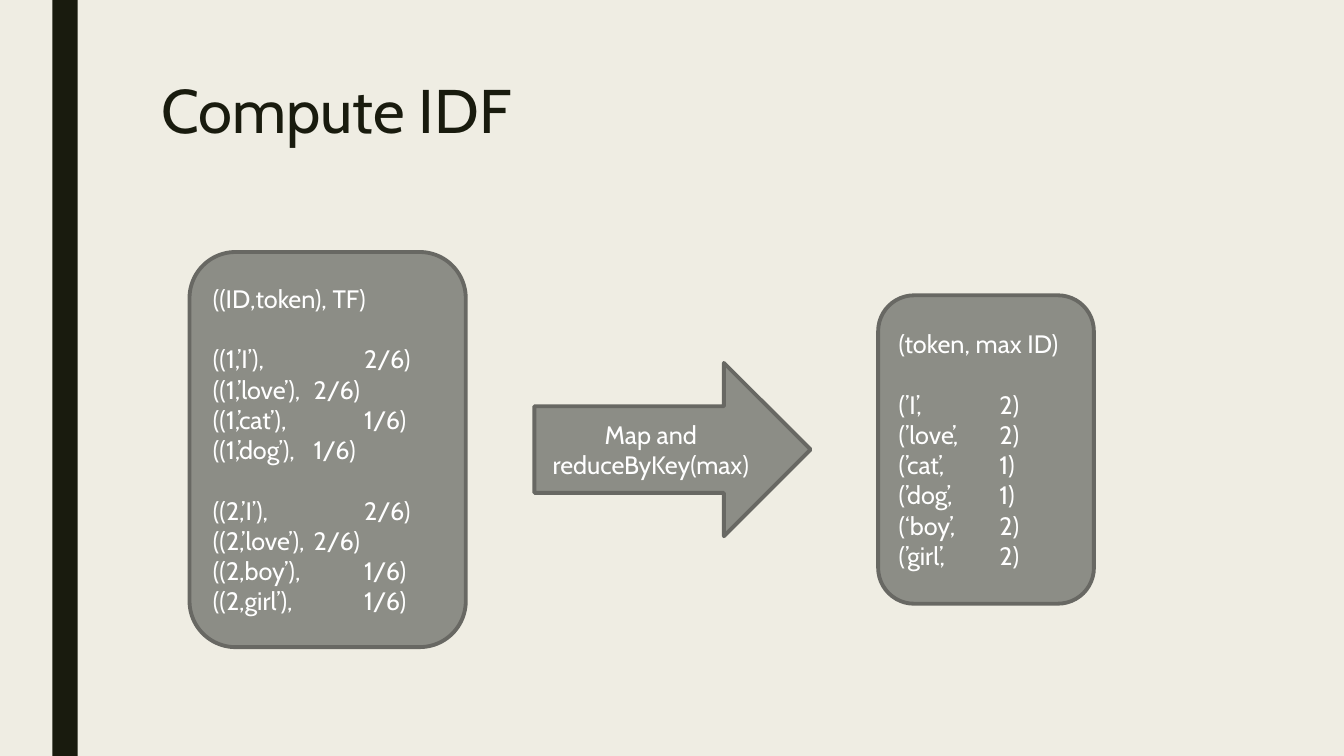
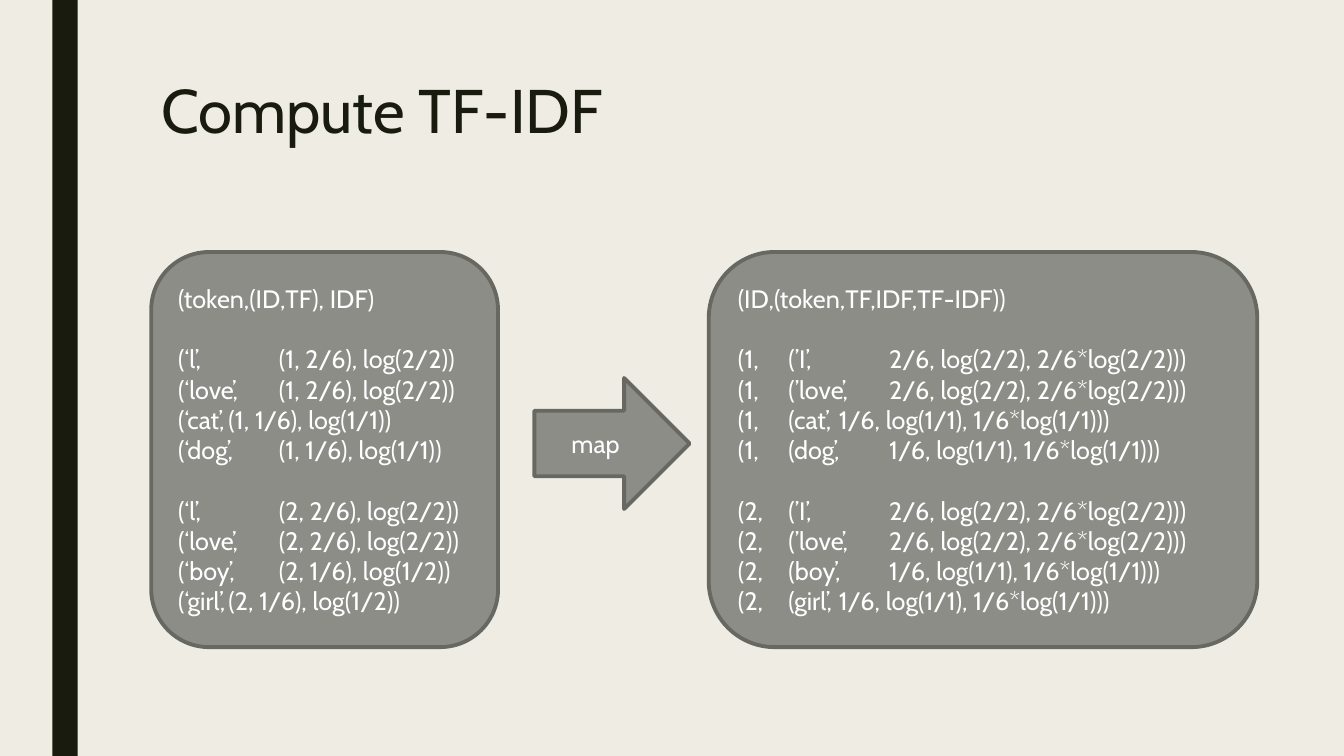
"""Build two slides on computing IDF and TF-IDF with map and reduce steps."""
from lxml import etree
from pptx import Presentation
from pptx.dml.color import RGBColor
from pptx.enum.shapes import MSO_SHAPE
from pptx.enum.text import MSO_ANCHOR, MSO_AUTO_SIZE, PP_ALIGN
from pptx.oxml.ns import qn
from pptx.util import Inches, Pt

BOX, ARROW, BAND = MSO_SHAPE.ROUNDED_RECTANGLE, MSO_SHAPE.RIGHT_ARROW, MSO_SHAPE.RECTANGLE
LEFT, CENTER = PP_ALIGN.LEFT, PP_ALIGN.CENTER
TOP, MIDDLE = MSO_ANCHOR.TOP, MSO_ANCHOR.MIDDLE
NO_AUTOFIT = MSO_AUTO_SIZE.NONE
TITLE_ONLY = 5

COLORS = {
    "background": "EFEDE3",
    "dark": "191B0E",
    "fill": "8C8D86",
    "outline": "686863",
    "light": "FFFFFF",
}
TITLE_FONT = {"name": "Cabin", "size": Pt(44)}
BODY_FONT = {"name": "Cabin", "size": Pt(18)}
TITLE_PLACE = (1.5, 0.75, 10.5, 1.62)
BAND_PLACE = (0.52, 0, 0.25, 7.5)
GROUP_GAP = Pt(21.6)
TAB_STEP, TAB_COUNT = 0.5, 4

TERM_FREQUENCIES = [
    ["((ID,token), TF)"],
    ["((1,’I’), \t\t2/6)", "((1,’love’), \t2/6)", "((1,’cat’), \t\t1/6)", "((1,’dog’), \t1/6)"],
    ["((2,’I’), \t\t2/6)", "((2,’love’), \t2/6)", "((2,boy’), \t\t1/6)", "((2,girl’), \t\t1/6)"],
]
TOKEN_MAXIMA = [
    ["(token, max ID)"],
    ["(’I’, \t\t2)", "(’love’, \t2)", "(’cat’, \t1)", "(’dog’, \t1)", "(‘boy’, \t2)", "(’girl’, \t2)"],
]
TOKEN_IDF = [
    ["(token,(ID,TF), IDF)"],
    [
        "(‘l’,\t\t(1, 2/6), log(2/2))",
        "(‘love’,\t(1, 2/6), log(2/2))",
        "(‘cat’,\t(1, 1/6), log(1/1))",
        "(‘dog’,\t(1, 1/6), log(1/1))",
    ],
    [
        "(‘l’,\t\t(2, 2/6), log(2/2))",
        "(‘love’,\t(2, 2/6), log(2/2))",
        "(‘boy’,\t(2, 1/6), log(1/2))",
        "(‘girl’,\t(2, 1/6), log(1/2))",
    ],
]
DOCUMENT_TF_IDF = [
    ["(ID,(token,TF,IDF,TF-IDF)) "],
    [
        "(1, \t(’I’, \t\t2/6, log(2/2), 2/6*log(2/2)))",
        "(1,\t(’love’, \t2/6, log(2/2), 2/6*log(2/2)))",
        "(1,\t(cat’, \t1/6, log(1/1), 1/6*log(1/1)))",
        "(1,\t(dog’, \t1/6, log(1/1), 1/6*log(1/1)))",
    ],
    [
        "(2, \t(’I’, \t\t2/6, log(2/2), 2/6*log(2/2)))",
        "(2,\t(’love’, \t2/6, log(2/2), 2/6*log(2/2)))",
        "(2,\t(boy’, \t1/6, log(1/1), 1/6*log(1/1)))",
        "(2,\t(girl’, \t1/6, log(1/1), 1/6*log(1/1)))",
    ],
]
SLIDES = [
    ("Compute IDF", [
        (BOX, (1.88, 2.5, 2.74, 3.92), TERM_FREQUENCIES, LEFT),
        (ARROW, (5.3, 3.6, 2.74, 1.72), [["Map and", "reduceByKey(max)"]], CENTER),
        (BOX, (8.71, 2.93, 2.14, 3.06), TOKEN_MAXIMA, LEFT),
    ]),
    ("Compute TF-IDF", [
        (ARROW, (5.3, 3.75, 1.54, 1.3), [["map"]], CENTER),
        (BOX, (1.5, 2.5, 3.44, 3.92), TOKEN_IDF, LEFT),
        (BOX, (7.03, 2.5, 5.44, 3.92), DOCUMENT_TF_IDF, LEFT),
    ]),
]


def color(name):
    """Return the named colour of the deck."""
    return RGBColor.from_string(COLORS[name])


def apply_format(target, values):
    """Set every attribute in values on target."""
    for name, value in values.items():
        setattr(target, name, value)


def format_font(font, values, color_name):
    """Give a font its format values and colour."""
    apply_format(font, values)
    font.color.rgb = color(color_name)


def add_filled_shape(slide, kind, place, fill):
    """Add a flat shape without an outline."""
    shape = slide.shapes.add_shape(kind, *map(Inches, place))
    shape.shadow.inherit = False
    shape.fill.solid()
    shape.fill.fore_color.rgb = color(fill)
    shape.line.fill.background()
    return shape


def set_tab_stops(paragraph):
    """Place evenly spaced left tab stops in a paragraph."""
    tab_list = etree.SubElement(paragraph._p.get_or_add_pPr(), qn("a:tabLst"))
    for number in range(1, TAB_COUNT + 1):
        position = str(Inches(number * TAB_STEP))
        etree.SubElement(tab_list, qn("a:tab"), pos=position, algn="l")


def write_groups(text_frame, groups, alignment):
    """Write groups of lines, set apart by paragraph spacing."""
    paragraph = text_frame.paragraphs[0]
    for group_index, group in enumerate(groups):
        for line_index, line in enumerate(group):
            if group_index or line_index:
                paragraph = text_frame.add_paragraph()
            starts_group = group_index and not line_index
            paragraph.alignment = alignment
            paragraph.space_before = GROUP_GAP if starts_group else Pt(0)
            if "\t" in line:
                set_tab_stops(paragraph)
            run = paragraph.add_run()
            run.text = line
            format_font(run.font, BODY_FONT, "light")


def add_step(slide, kind, place, groups, alignment):
    """Add an outlined box or arrow with its text."""
    shape = add_filled_shape(slide, kind, place, "fill")
    shape.line.color.rgb = color("outline")
    shape.line.width = Pt(2.75)
    apply_format(shape.text_frame, {"word_wrap": True, "vertical_anchor": MIDDLE})
    write_groups(shape.text_frame, groups, alignment)


def set_title(slide, text):
    """Move, fill and format the title placeholder."""
    title = slide.shapes.title
    apply_format(title, dict(zip(("left", "top", "width", "height"), map(Inches, TITLE_PLACE))))
    title.text_frame.text = text
    apply_format(title.text_frame, {"vertical_anchor": TOP, "auto_size": NO_AUTOFIT, "word_wrap": True})
    paragraph = title.text_frame.paragraphs[0]
    apply_format(paragraph, {"alignment": LEFT, "line_spacing": 0.89})
    format_font(paragraph.runs[0].font, TITLE_FONT, "dark")


def style_master(master, slide):
    """Give the master its background and the dark band, built on a slide."""
    fill = master.background.fill
    fill.solid()
    fill.fore_color.rgb = color("background")
    band = add_filled_shape(slide, BAND, BAND_PLACE, "dark")
    master.shapes.element.insert(2, band.element)


def main():
    """Build and save the presentation."""
    presentation = Presentation()
    apply_format(presentation, {"slide_width": Inches(13.33), "slide_height": Inches(7.5)})
    layout = presentation.slide_layouts[TITLE_ONLY]
    for title, steps in SLIDES:
        slide = presentation.slides.add_slide(layout)
        set_title(slide, title)
        for step in steps:
            add_step(slide, *step)
    style_master(presentation.slide_master, presentation.slides[0])
    presentation.save("out.pptx")


if __name__ == "__main__":
    main()
